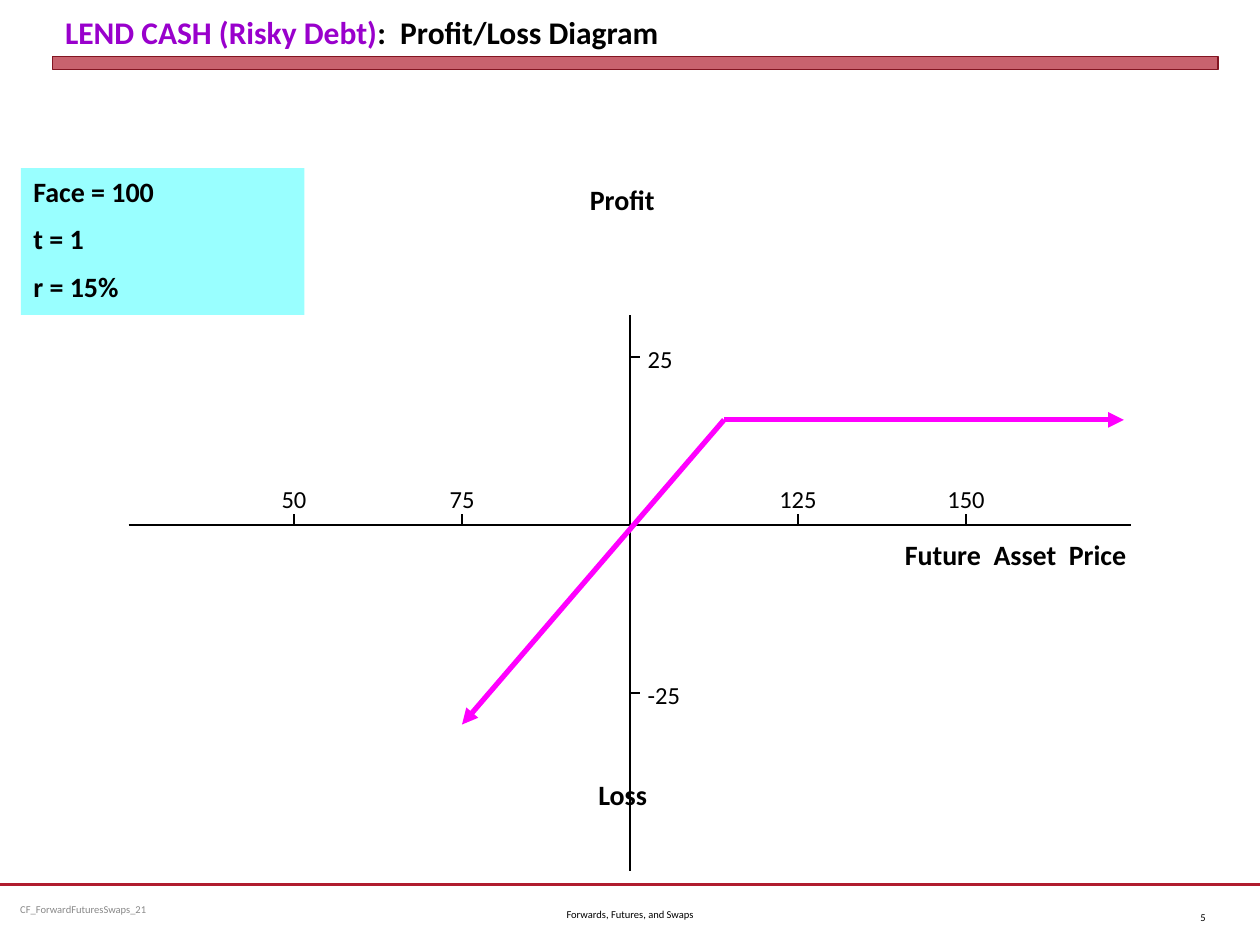
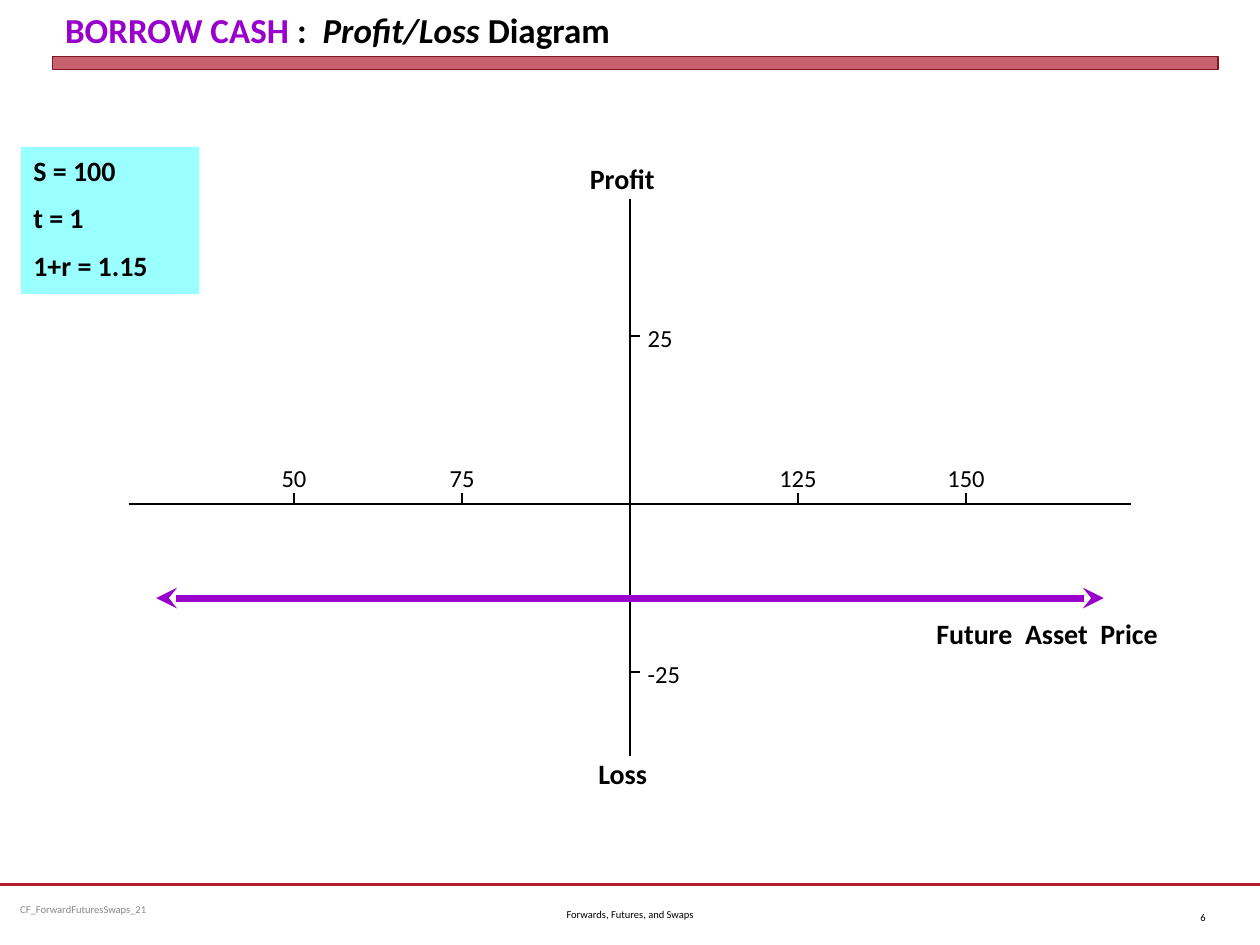
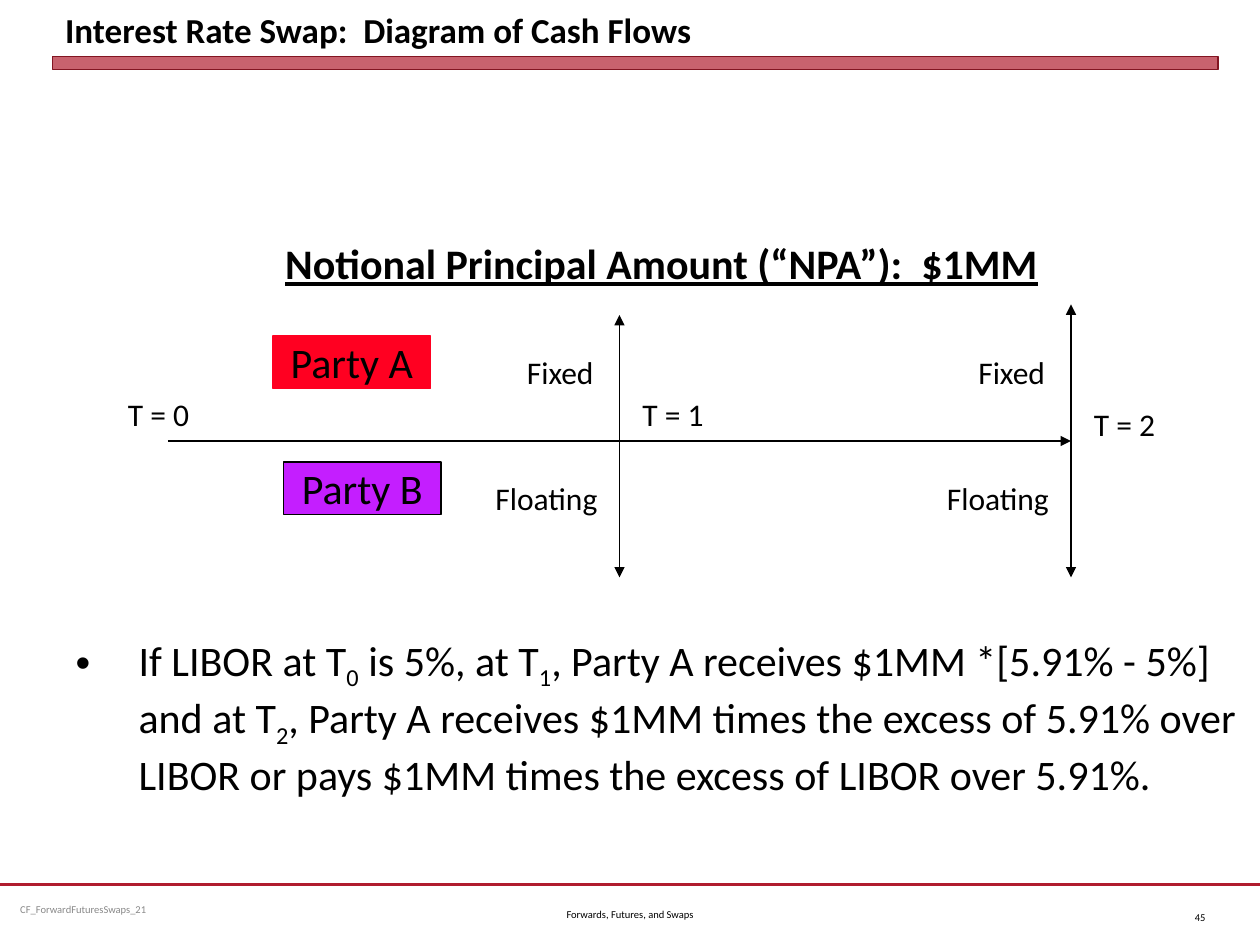
import dataclasses

import lxml.etree
import pptx
import pptx.dml.color
import pptx.enum.shapes
import pptx.enum.text
import pptx.oxml.ns
import pptx.util

BLACK = pptx.dml.color.RGBColor(0x00, 0x00, 0x00)
GREY = pptx.dml.color.RGBColor(0x89, 0x89, 0x89)
CRIMSON = pptx.dml.color.RGBColor(0xB0, 0x1C, 0x2E)
DARK_CRIMSON = pptx.dml.color.RGBColor(0x82, 0x15, 0x22)
PURPLE = pptx.dml.color.RGBColor(0x99, 0x00, 0xCC)
MAGENTA = pptx.dml.color.RGBColor(0xFF, 0x00, 0xFF)
CYAN = pptx.dml.color.RGBColor(0x99, 0xFF, 0xFF)
VIOLET = pptx.dml.color.RGBColor(0xC4, 0x1E, 0xFF)
RED = pptx.dml.color.RGBColor(0xFF, 0x00, 0x21)

FONT = "Calibri"
COLUMNS, ROWS = 120, 90
SLIDE_WIDTH, SLIDE_HEIGHT = pptx.util.Inches(10), pptx.util.Inches(7.5)
TITLE_ONLY, TITLE_AND_BODY = 5, 1
LEFT = pptx.enum.text.PP_ALIGN.LEFT
CENTER = pptx.enum.text.PP_ALIGN.CENTER
RIGHT = pptx.enum.text.PP_ALIGN.RIGHT
TOP = pptx.enum.text.MSO_ANCHOR.TOP
MIDDLE = pptx.enum.text.MSO_ANCHOR.MIDDLE
BOTTOM = pptx.enum.text.MSO_ANCHOR.BOTTOM
RECTANGLE = pptx.enum.shapes.MSO_SHAPE.RECTANGLE
STRAIGHT = pptx.enum.shapes.MSO_CONNECTOR.STRAIGHT


@dataclasses.dataclass
class Box:
    """A region measured in grid columns and rows."""

    left: float
    top: float
    width: float
    height: float

    def region(self, left, top, width, height):
        """Return a box placed relative to this one."""
        return Box(self.left + left, self.top + top, width, height)

    def emu(self):
        """Return left, top, width and height as slide lengths."""
        return (*place(self.left, self.top), *place(self.width, self.height))


SLIDE = Box(0, 0, COLUMNS, ROWS)


def place(column, row):
    """Turn a grid point into slide lengths."""
    return round(column * SLIDE_WIDTH / COLUMNS), round(row * SLIDE_HEIGHT / ROWS)


def add_run(paragraph, text, size, color=BLACK, bold=False, italic=False, underline=False, baseline=0):
    """Append one formatted run to a paragraph."""
    run = paragraph.add_run()
    run.text = text
    font = run.font
    font.name, font.size = FONT, pptx.util.Pt(size)
    font.bold, font.italic, font.underline = bold, italic, underline
    font.color.rgb = color
    if baseline:
        run._r.get_or_add_rPr().set("baseline", str(baseline * 1000))


def write_lines(shape, lines, size, color=BLACK, bold=False, align=LEFT, anchor=TOP, wrap=True):
    """Write plain lines into a shape, half a line apart."""
    frame = shape.text_frame
    frame.word_wrap, frame.vertical_anchor = wrap, anchor
    for index, line in enumerate(lines):
        paragraph = frame.add_paragraph() if index else frame.paragraphs[0]
        paragraph.alignment = align
        if index:
            paragraph.space_before = pptx.util.Pt(size / 2)
        add_run(paragraph, line, size, color, bold)


def add_label(slide, box, text, size, **style):
    """Add a one-line text box."""
    label = slide.shapes.add_textbox(*box.emu())
    write_lines(label, [text], size, **style)


def add_panel(slide, box, fill, line=None, width=0.75):
    """Add a flat filled rectangle."""
    panel = slide.shapes.add_shape(RECTANGLE, *box.emu())
    panel.shadow.inherit = False
    panel.fill.solid()
    panel.fill.fore_color.rgb = fill
    if line is None:
        panel.line.fill.background()
    else:
        panel.line.color.rgb = line
        panel.line.width = pptx.util.Pt(width)
    return panel


def add_line(slide, start, end, color=BLACK, width=1.0, head=None, tail=None):
    """Join two grid points, with optional arrowheads."""
    connector = slide.shapes.add_connector(STRAIGHT, *place(*start), *place(*end))
    connector.line.color.rgb = color
    connector.line.width = pptx.util.Pt(width)
    properties = connector._element.spPr
    outline = properties.find(pptx.oxml.ns.qn("a:ln"))
    for tag, kind in (("a:headEnd", head), ("a:tailEnd", tail)):
        if kind:
            lxml.etree.SubElement(outline, pptx.oxml.ns.qn(tag), type=kind)
    lxml.etree.SubElement(properties, pptx.oxml.ns.qn("a:effectLst"))


def add_title(slide, box, runs, size):
    """Place the title placeholder and fill it run by run."""
    title = slide.shapes.title
    title.left, title.top, title.width, title.height = box.emu()
    frame = title.text_frame
    frame.auto_size = pptx.enum.text.MSO_AUTO_SIZE.NONE
    frame.vertical_anchor = BOTTOM
    frame.paragraphs[0].alignment = LEFT
    for text, style in runs:
        add_run(frame.paragraphs[0], text, size, bold=True, **style)


def add_footer(slide, box, number):
    """Draw the rule, file name, topic and slide number at the foot."""
    add_line(slide, (box.left, box.top), (box.left + box.width, box.top), CRIMSON, 1.25)
    for left, top, width, text, color, align in (
        (0.75, 0, 31, "CF_ForwardFuturesSwaps_21", GREY, LEFT),
        (41, 0.4, 38, "Forwards, Futures, and Swaps", BLACK, CENTER),
        (110, 0.75, 6, str(number), BLACK, RIGHT),
    ):
        add_label(slide, box.region(left, top, width, 4.8), text, 6, color=color, align=align, anchor=MIDDLE)


def new_slide(deck, layout, title_runs, title_size, number):
    """Add a slide with the shared title, band and footer."""
    slide = deck.slides.add_slide(deck.slide_layouts[layout])
    band = add_panel(slide, SLIDE.region(5, 5.4, 111, 1.2), CRIMSON, DARK_CRIMSON, 0)
    band_color = band._element.spPr.find(pptx.oxml.ns.qn("a:solidFill"))[0]
    lxml.etree.SubElement(band_color, pptx.oxml.ns.qn("a:alpha"), val="69000")
    add_title(slide, SLIDE.region(5, 0.6, 111, 4.8), title_runs, title_size)
    add_footer(slide, SLIDE.region(0, 84.25, COLUMNS, 5.75), number)
    return slide


def add_facts(slide, box, facts):
    """List the contract's terms on a cyan panel."""
    write_lines(add_panel(slide, box, CYAN), facts, 16, bold=True)


def add_payoff_axes(slide, box, profit_axis, price_label):
    """Draw the profit and price axes and return the value-to-grid rule."""
    middle, axis_row = box.left + box.width / 2, box.top + 33.2
    cells_per_unit = 16 / 25

    def point(price, profit):
        """Locate a price and profit on the grid."""
        return middle + (price - 100) * cells_per_unit, axis_row - profit * cells_per_unit

    for price in (50, 75, 125, 150):
        column, row = point(price, 0)
        add_line(slide, (column, row), (column, row - 1))
        add_label(slide, Box(column - 4.5, row - 4.5, 9, 4), str(price), 14, align=CENTER)
    for profit in (25, -25):
        column, row = point(100, profit)
        add_line(slide, (column, row), (column + 1, row))
        add_label(slide, Box(column + 0.5, row - 1.8, 8, 4), str(profit), 14)
    add_line(slide, (box.left, axis_row), (box.left + box.width, axis_row))
    add_line(slide, *((middle, box.top + row) for row in profit_axis))
    half = box.width / 2
    add_label(slide, box.region(half - 5, 0, 9.8, 4.4), "Profit", 16, bold=True)
    add_label(slide, box.region(half - 4.2, 56.7, 8.8, 4.4), "Loss", 16, bold=True)
    add_label(slide, box.region(*price_label, 31, 4.4), "Future  Asset  Price", 16, bold=True)
    return point


def lend_cash_slide(deck):
    """Build the risky debt payoff slide."""
    title = [("LEND CASH (Risky Debt)", {"color": PURPLE}), (":  Profit/Loss Diagram", {})]
    slide = new_slide(deck, TITLE_ONLY, title, 18, 5)
    add_facts(slide, SLIDE.region(2, 16, 27, 14), ["Face = 100", "t = 1", "r = 15%"])
    axes = SLIDE.region(12.25, 16.8, 95.5, 66.2)
    point = add_payoff_axes(slide, axes, (13.2, 66.2), (72.75, 33.8))
    for end in ((75, -29.7), (173.5, 15.65)):
        add_line(slide, point(114, 15.65), point(*end), MAGENTA, 3, tail="triangle")


def borrow_cash_slide(deck):
    """Build the borrowing payoff slide."""
    title = [
        ("BORROW CASH ", {"color": PURPLE}),
        (":  ", {}),
        ("Profit/Loss", {"italic": True}),
        (" Diagram", {}),
    ]
    slide = new_slide(deck, TITLE_ONLY, title, 20, 6)
    add_facts(slide, SLIDE.region(2, 14, 17, 14), ["S = 100", "t = 1", "1+r = 1.15"])
    axes = SLIDE.region(12.25, 14.8, 95.5, 61.2)
    point = add_payoff_axes(slide, axes, (4.2, 57.2), (75.75, 43.3))
    add_line(slide, point(29.5, -14), point(170.5, -14), PURPLE, 4, head="stealth", tail="stealth")


def add_swap_terms(slide, box):
    """Fill the body with the principal heading and the LIBOR bullet."""
    body = slide.placeholders[1]
    body.left, body.top, body.width, body.height = box.emu()
    frame = body.text_frame
    frame.auto_size = pptx.enum.text.MSO_AUTO_SIZE.NONE
    heading, terms = frame.paragraphs[0], frame.add_paragraph()
    for paragraph in (heading, terms):
        properties = paragraph._p.get_or_add_pPr()
        hanging = pptx.util.Inches(0.5)
        properties.set("marL", str(hanging))
        properties.set("indent", str(-hanging))
    lxml.etree.SubElement(heading._p.get_or_add_pPr(), pptx.oxml.ns.qn("a:buNone"))
    heading.alignment, terms.alignment = CENTER, LEFT
    heading.space_before, terms.space_before = pptx.util.Pt(0), pptx.util.Pt(198)
    add_run(heading, "Notional Principal Amount (“NPA”):  $1MM", 24, bold=True, underline=True)
    for text, baseline in (
        ("If LIBOR at T", 0),
        ("0", -25),
        (" is 5%, at T", 0),
        ("1", -25),
        (", Party A receives $1MM *[5.91% - 5%] and at T", 0),
        ("2", -25),
        (", Party A receives $1MM times the excess of 5.91% over LIBOR "
         "or pays $1MM times the excess of LIBOR over 5.91%.", 0),
    ):
        add_run(terms, text, 24, baseline=baseline)


def add_cash_flows(slide, box):
    """Draw the timeline with fixed and floating flows at each period."""
    period, axis = box.width / 2, 13
    axis_row = box.top + axis
    add_line(slide, (box.left, axis_row), (box.left + box.width, axis_row), width=0.75, tail="triangle")
    add_label(slide, box.region(-5, axis - 5, 11, 4.8), "T = 0", 18)
    for number, flow_top, label_rise in ((1, 1, 5), (2, 0, 4)):
        offset = number * period
        column = box.left + offset
        for row in (box.top + flow_top, box.top + box.height):
            add_line(slide, (column, axis_row), (column, row), width=0.75, tail="triangle")
        add_label(slide, box.region(offset - 10, axis - 9, 11, 4.8), "Fixed", 18)
        add_label(slide, box.region(offset - 13, axis + 3, 16, 4.8), "Floating", 18)
        add_label(slide, box.region(offset + 1, axis - label_rise, 11, 4.8), f"T = {number}", 18)
    for left, top, party, fill, outline in (
        (11, axis + 2, "Party B", VIOLET, BLACK),
        (10, axis - 10, "Party A", RED, RED),
    ):
        panel = add_panel(slide, box.region(left, top, 15, 5), fill, outline)
        write_lines(panel, [party], 24, align=CENTER, anchor=MIDDLE, wrap=False)


def swap_slide(deck):
    """Build the interest rate swap slide."""
    title = [("Interest Rate Swap:  Diagram of Cash Flows", {})]
    slide = new_slide(deck, TITLE_AND_BODY, title, 20, 45)
    add_swap_terms(slide, SLIDE.region(6, 22, 114, 58.2))
    add_cash_flows(slide, SLIDE.region(16, 29, 86, 26))


def main():
    """Build and save the deck."""
    deck = pptx.Presentation()
    deck.slide_width, deck.slide_height = SLIDE_WIDTH, SLIDE_HEIGHT
    lend_cash_slide(deck)
    borrow_cash_slide(deck)
    swap_slide(deck)
    deck.save("out.pptx")


if __name__ == "__main__":
    main()
